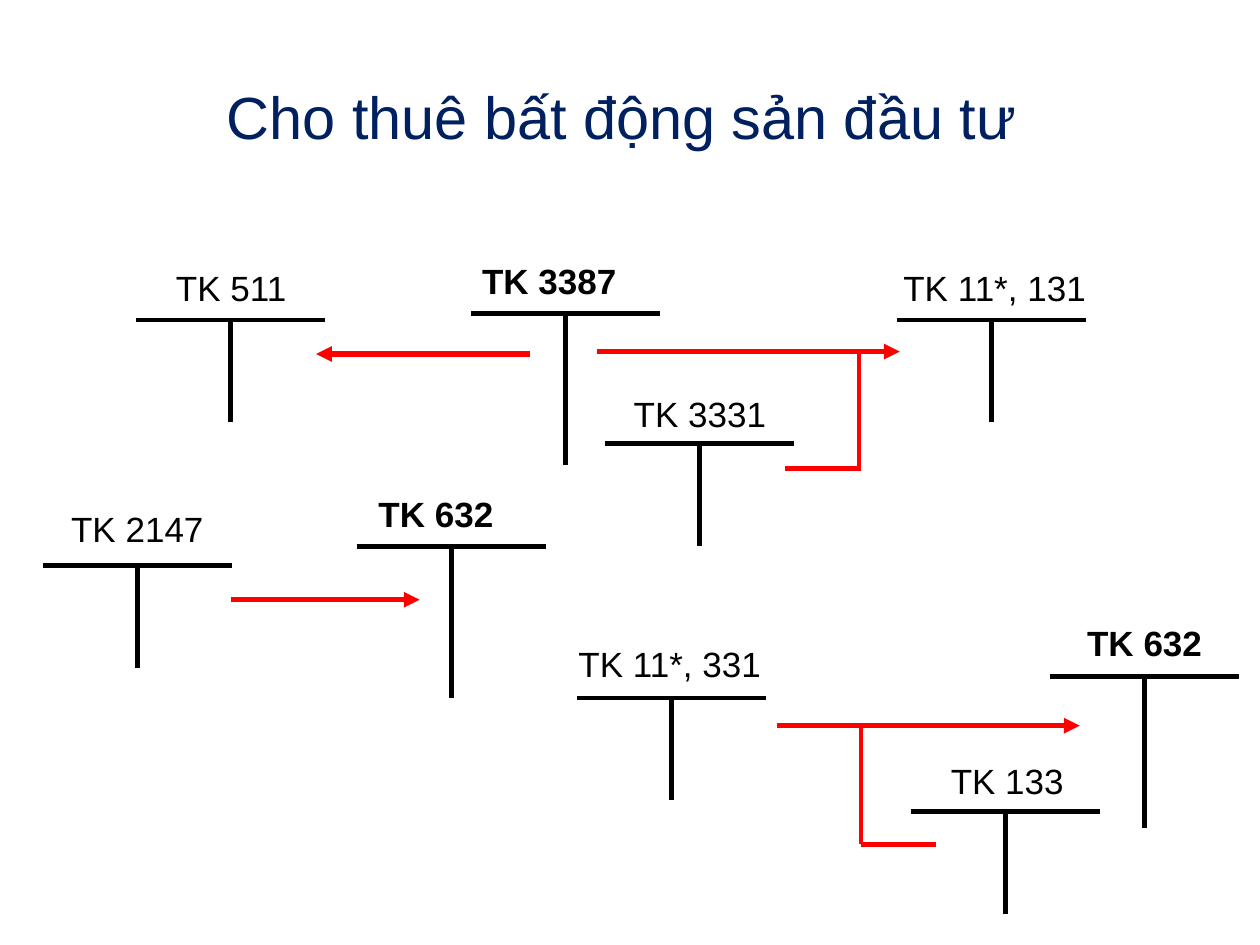
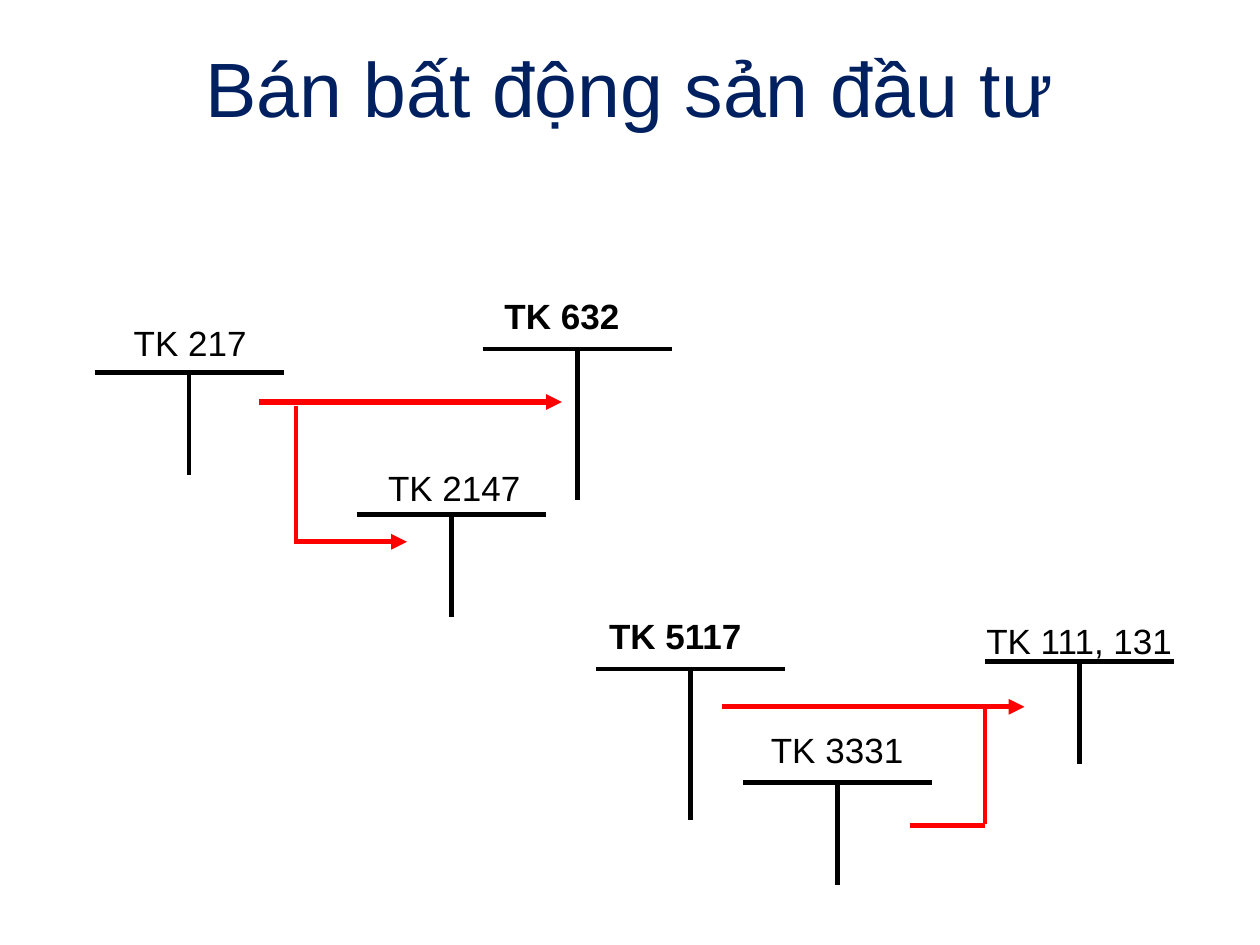
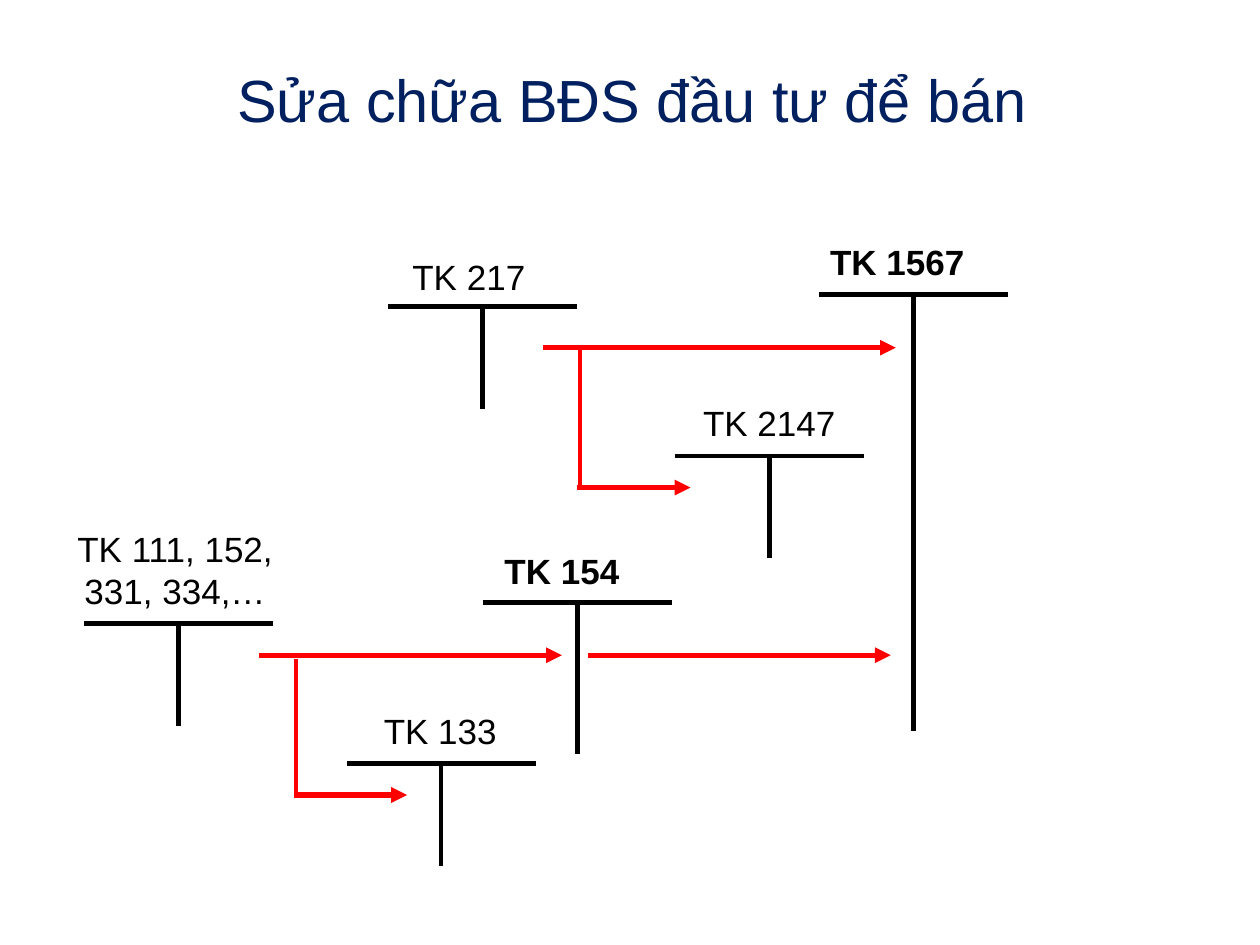
import pptx
import pptx.util
import pptx.dml.color
import pptx.enum.shapes
import pptx.enum.text
import pptx.oxml.ns
import lxml.etree

Pt = pptx.util.Pt
NAVY = pptx.dml.color.RGBColor(0x00, 0x20, 0x60)
BLACK = pptx.dml.color.RGBColor(0x00, 0x00, 0x00)
RED = pptx.dml.color.RGBColor(0xFF, 0x00, 0x00)
FONT = "Arial"
BAR = 108           # width of the top bar of a T account
STEM = 58.5         # stem of an ordinary account
MAIN_STEM = 86.4    # stem of a main (bold) account

# accounts: label, label left, top, width, bar left, bar top, stem
# flows: x1, y1, x2, y2, arrowhead at the end
SLIDES = [
    {"title": "Cho thuê bất động sản đầu tư ", "size": 34, "box": (120, 18.7, 480, 95),
     "main": [("TK 632", 156.2, 277.9, 185.8, 203.8, 312.5, MAIN_STEM),
              ("TK 632", 594, 351.4, 120.2, 599.8, 386.6, MAIN_STEM),
              ("TK 3387", 221, 144.7, 185.8, 269.3, 179.3, MAIN_STEM)],
     "other": [("TK 2147", 25.2, 286.6, 106.6, 24.5, 323.3, STEM),
               ("TK 11*, 331", 315.4, 363.6, 134.6, 329.8, 398.9, STEM),
               ("TK 133", 527, 430.6, 97.2, 520.6, 463.7, STEM),
               ("TK 11*, 131", 501.1, 149, 134.6, 512.6, 182.9, STEM),
               ("TK 3331", 351.4, 221, 97.2, 345.6, 253.4, STEM),
               ("TK 511", 83.5, 149, 97.2, 77.8, 182.9, STEM)],
     "flows": [(131.8, 342.7, 239.8, 342.7, True),
               (444.2, 414.7, 617, 414.7, True),
               (491.8, 482.4, 535, 482.4, False),
               (491.8, 414.7, 491.8, 482.4, False),
               (341.3, 200.9, 514.1, 200.9, True),
               (448.6, 267.8, 491.8, 267.8, False),
               (491, 200.9, 491, 267.8, False),
               (303.1, 202.3, 180.7, 202.3, True)]},
    {"title": "Bán bất động sản đầu tư", "size": 44, "box": (30, 21.6, 660, 56.2),
     "main": [("TK 632", 228.2, 164.9, 185.8, 275.8, 199.4, MAIN_STEM),
              ("TK 5117", 293, 347.8, 185.8, 340.6, 382.3, MAIN_STEM)],
     "other": [("TK 217", 55.4, 180, 106.6, 54, 213.1, STEM),
               ("TK 2147", 211, 262.8, 97.2, 203.8, 293.8, STEM),
               ("TK 111, 131", 549.4, 350.6, 134.6, 563, 378, STEM),
               ("TK 3331", 429.8, 412.6, 97.2, 424.8, 447.1, STEM)],
     "flows": [(148.3, 229.7, 321.1, 229.7, True),
               (167.8, 309.6, 232.6, 309.6, True),
               (169.2, 231.8, 169.2, 308.2, False),
               (412.6, 403.9, 585.4, 403.9, True),
               (519.8, 471.6, 563, 471.6, False),
               (563, 403.9, 563, 470.9, False)]},
    {"title": "Sửa chữa BĐS đầu tư để bán ", "size": 34, "box": (126, 0, 480, 112.3),
     "main": [("TK 1567", 419.8, 133.9, 185.8, 468, 168.5, 249.1),
              ("TK 154", 228.2, 310.3, 185.8, 275.8, 344.2, MAIN_STEM)],
     "other": [("TK 217", 214.6, 142.6, 106.6, 221.8, 175, STEM),
               ("TK 2147", 391, 226.1, 97.2, 385.9, 260.6, STEM),
               ("TK 111, 152, 331, 334,…", 31.7, 298.1, 136.8, 48.2, 356.4, STEM),
               ("TK 133", 203, 401.8, 97.2, 198, 436.3, STEM)],
     "flows": [(310.3, 198.7, 511.9, 198.7, True),
               (329.8, 278.6, 394.6, 278.6, True),
               (331.2, 200.2, 331.2, 277.2, False),
               (148.3, 374.4, 321.1, 374.4, True),
               (167.8, 454.3, 232.6, 454.3, True),
               (169.2, 376.6, 169.2, 452.9, False),
               (336.2, 374.4, 509, 374.4, True)]},
]


def add_line(s, x1, y1, x2, y2, color, width, arrow=False):
    line = s.shapes.add_connector(pptx.enum.shapes.MSO_CONNECTOR.STRAIGHT,
                                  Pt(x1), Pt(y1), Pt(x2), Pt(y2))
    line.line.color.rgb = color
    line.line.width = Pt(width)
    if arrow:
        ln = line.line._get_or_add_ln()
        lxml.etree.SubElement(ln, pptx.oxml.ns.qn("a:tailEnd"), type="triangle")
    lxml.etree.SubElement(line._element.spPr, pptx.oxml.ns.qn("a:effectLst"))


def add_text(tf, text, size, color, bold=False):
    tf.word_wrap = True
    p = tf.paragraphs[0]
    p.alignment = pptx.enum.text.PP_ALIGN.CENTER
    r = p.add_run()
    r.text = text
    r.font.name = FONT
    r.font.size = Pt(size)
    r.font.bold = bold
    r.font.color.rgb = color


prs = pptx.Presentation()
prs.slide_width = Pt(720)
prs.slide_height = Pt(540)

for content in SLIDES:
    s = prs.slides.add_slide(prs.slide_layouts[5])

    # Title
    title = s.shapes.title
    title.left, title.top, title.width, title.height = [Pt(v) for v in content["box"]]
    tf = title.text_frame
    tf.auto_size = pptx.enum.text.MSO_AUTO_SIZE.NONE
    tf.vertical_anchor = pptx.enum.text.MSO_ANCHOR.MIDDLE
    add_text(tf, content["title"], content["size"], NAVY)

    # T accounts: label, stem and bar
    for kind in ("main", "other"):
        for text, left, top, width, x, y, stem in content[kind]:
            label = s.shapes.add_textbox(Pt(left), Pt(top), Pt(width), Pt(31.7))
            label.text_frame.auto_size = pptx.enum.text.MSO_AUTO_SIZE.SHAPE_TO_FIT_TEXT
            add_text(label.text_frame, text, 20, BLACK, kind == "main")
            if len(text) > 15:  # label on two lines
                label.height = Pt(55.4)
            add_line(s, x + BAR / 2, y, x + BAR / 2, y + stem, BLACK, 2.75)
            add_line(s, x, y, x + BAR, y, BLACK, 2.75)

    # Flows between accounts, with thinner vertical branches
    for x1, y1, x2, y2, arrow in content["flows"]:
        add_line(s, x1, y1, x2, y2, RED, 2.25 if x1 == x2 else 3, arrow)

prs.save("out.pptx")
